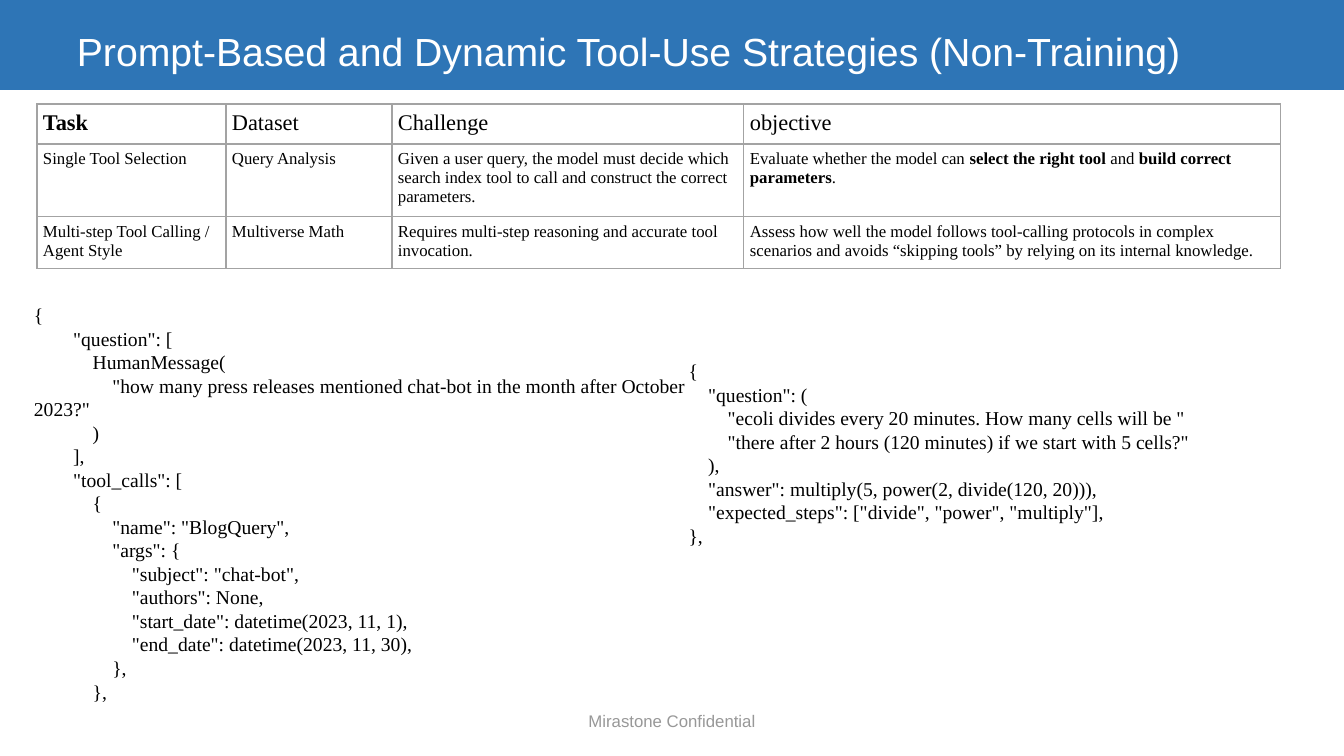
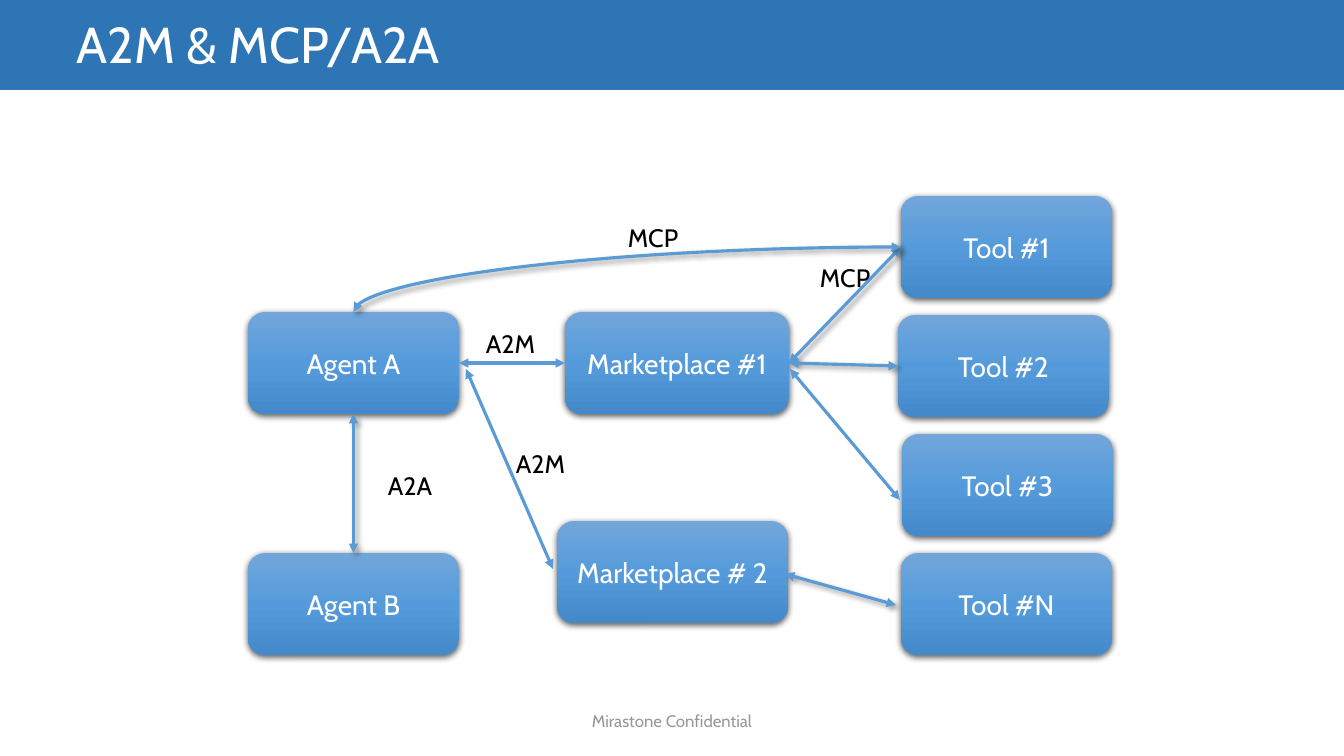
from copy import deepcopy
from dataclasses import dataclass

from lxml.etree import SubElement as Sub
from pptx import Presentation
from pptx.dml.color import RGBColor as Rgb
from pptx.enum.shapes import MSO_CONNECTOR as Wire, MSO_SHAPE as Shape
from pptx.enum.text import MSO_ANCHOR as Anchor, PP_ALIGN as Align
from pptx.oxml.ns import qn
from pptx.util import Emu, Pt

TOP, LEFT, BOTTOM, RIGHT = range(4)  # connection sites of a box


@dataclass(frozen=True)
class Theme:
    band: str = "2E75B6"
    white: str = "FFFFFF"
    ink: str = "000000"
    grey: str = "989898"
    rule: str = "A3A3A3"
    wire: str = "5B9BD5"
    fade: tuple = ((0, "71A6DB"), (0.5, "559BDB"), (1, "448ACA"))
    serif: str = "Times New Roman"
    foot: int = 12
    head: int = 16
    cell: int = 12
    code: int = 14
    label: int = 18
    node: int = 20


def px(n):
    return Emu(round(n * 914400 / 100.8))


def shade(props, alpha, blur, dist, angle):
    """Add an outer shadow; alpha in percent, blur and dist in points."""
    effects = props.find(qn("a:effectLst"))
    glow = Sub(effects, qn("a:outerShdw"), blurRad=str(Pt(blur)),
               dist=str(Pt(dist)), dir=str(angle * 60000), rotWithShape="0")
    color = Sub(glow, qn("a:srgbClr"), val=Theme.ink)
    Sub(color, qn("a:alpha"), val=str(alpha * 1000))


class Deck:
    def __init__(self, theme):
        self.theme = theme
        self.file = Presentation()
        self.file.slide_width, self.file.slide_height = px(1344), px(756)

    def page(self, title, size, font):
        """Start a slide with its band, title and footer."""
        look = self.theme
        self.font = font
        self.slide = self.file.slides.add_slide(self.file.slide_layouts[6])
        self.shapes = self.slide.shapes
        band = self.shapes.add_shape(Shape.RECTANGLE, 0, 0, px(1344), px(90))
        band.shadow.inherit = False
        band.fill.solid()
        band.fill.fore_color.rgb = Rgb.from_string(look.band)
        band.line.fill.background()
        self.text((67, 0, 1186, 79), title, size, look.white,
                  anchor=Anchor.BOTTOM)
        self.text((512, 701, 320, 40), "Mirastone Confidential", look.foot,
                  look.grey, Align.CENTER, Anchor.MIDDLE)

    def style(self, para, size, color, font=None, align=Align.LEFT):
        para.alignment = align
        para.font.name = font or self.font
        para.font.size = Pt(size)
        para.font.color.rgb = Rgb.from_string(color)

    def text(self, box, words, size, color, align=Align.LEFT,
             anchor=Anchor.TOP, wrap=True):
        frame = self.shapes.add_textbox(*map(px, box)).text_frame
        frame.word_wrap = wrap
        frame.vertical_anchor = anchor
        frame.text = words
        self.style(frame.paragraphs[0], size, color, align=align)

    def label(self, left, top, words):
        self.text((left, top, 74, 40), words, self.theme.label,
                  self.theme.ink, wrap=False)

    def code(self, box, source):
        """Show code; each four leading spaces become one em of indent."""
        look = self.theme
        frame = self.shapes.add_textbox(*map(px, box)).text_frame
        frame.word_wrap = True
        lines = source.strip("\n").split("\n")
        frame.text = "\n".join(line.strip() for line in lines)
        for para, line in zip(frame.paragraphs, lines):
            depth = (len(line) - len(line.lstrip())) // 4
            self.style(para, look.code, look.ink, look.serif)
            para._p.get_or_add_pPr().set("indent", str(Pt(look.code) * depth))

    def table(self, left, top, widths, heights, rows):
        grid = self.shapes.add_table(
            len(rows), len(widths), px(left), px(top),
            px(sum(widths)), px(sum(heights))).table
        grid.first_row = grid.horz_banding = False
        for col, width in zip(grid.columns, widths):
            col.width = px(width)
        for row, height, words in zip(grid.rows, heights, rows):
            row.height = px(height)
            size = self.theme.head if words is rows[0] else self.theme.cell
            for cell, part in zip(row.cells, words):
                self.cell(cell, part, size)

    def cell(self, cell, words, size):
        """Fill one cell; text between ** marks is bold."""
        look = self.theme
        cell.margin_left = cell.margin_right = px(6)
        cell.margin_top = cell.margin_bottom = px(6)
        for side in "LRTB":
            edge = Sub(cell._tc.get_or_add_tcPr(), qn(f"a:ln{side}"),
                       w=str(Pt(1)))
            fill = Sub(edge, qn("a:solidFill"))
            Sub(fill, qn("a:srgbClr"), val=look.rule)
        cell.fill.background()
        para = cell.text_frame.paragraphs[0]
        self.style(para, size, look.ink, look.serif)
        for i, part in enumerate(words.split("**")):
            if part:
                run = para.add_run()
                run.text = part
                run.font.bold = i % 2 == 1

    def node(self, left, top, words, width=211):
        look = self.theme
        box = self.shapes.add_shape(Shape.ROUNDED_RECTANGLE,
                                    *map(px, (left, top, width, 102)))
        box.fill.gradient()
        box.fill.gradient_angle = 270
        stops = box._element.spPr.find(".//" + qn("a:gsLst"))
        stops.insert(1, deepcopy(stops[0]))
        for stop, (place, color) in zip(box.fill.gradient_stops, look.fade):
            stop.position = place
            stop.color.rgb = Rgb.from_string(color)
        box.line.fill.background()
        box.shadow.inherit = False
        shade(box._element.spPr, 63, 4.5, 1.5, 90)
        frame = box.text_frame
        frame.text = words
        frame.vertical_anchor = Anchor.MIDDLE
        self.style(frame.paragraphs[0], look.node, look.white,
                   align=Align.CENTER)
        return box

    def arrow(self, ends=(0, 0, 0, 0), kind=Wire.STRAIGHT, shadow=True):
        """Draw a two-headed arrow."""
        wire = self.shapes.add_connector(kind, *map(px, ends))
        wire.line.color.rgb = Rgb.from_string(self.theme.wire)
        wire.line.width = Pt(2.25)
        props = wire._element.spPr
        for tip in ("a:headEnd", "a:tailEnd"):
            Sub(props.find(qn("a:ln")), qn(tip), type="triangle")
        Sub(props, qn("a:effectLst"))
        if shadow:
            shade(props, 40, 4, 3, 45)
        return wire

    def link(self, start, out, end, into, **look):
        """Join two boxes at the given connection sites."""
        wire = self.arrow(**look)
        wire.begin_connect(start, out)
        wire.end_connect(end, into)
        return wire


QUERY = """
{
        "question": [
            HumanMessage(
                "how many press releases mentioned chat-bot in the month after October 2023?"
            )
        ],
        "tool_calls": [
            {
                "name": "BlogQuery",
                "args": {
                    "subject": "chat-bot",
                    "authors": None,
                    "start_date": datetime(2023, 11, 1),
                    "end_date": datetime(2023, 11, 30),
                },
            },
"""

MATH = """
    {
        "question": (
            "ecoli divides every 20 minutes. How many cells will be "
            "there after 2 hours (120 minutes) if we start with 5 cells?"
        ),
        "answer": multiply(5, power(2, divide(120, 20))),
        "expected_steps": ["divide", "power", "multiply"],
    },
"""

TASKS = (
    ("**Task**", "Dataset", "Challenge", "objective"),
    ("Single Tool Selection", "Query Analysis",
     "Given a user query, the model must decide which search index tool "
     "to call and construct the correct parameters.",
     "Evaluate whether the model can **select the right tool** and "
     "**build correct parameters**."),
    ("Multi-step Tool Calling / Agent Style", "Multiverse Math",
     "Requires multi-step reasoning and accurate tool invocation.",
     "Assess how well the model follows tool-calling protocols in complex "
     "scenarios and avoids “skipping tools” by relying on its internal "
     "knowledge."),
)


def tasks(deck):
    deck.page("Prompt-Based and Dynamic Tool-Use Strategies (Non-Training)",
              28, "Arial")
    deck.table(37, 104, (189, 166, 352, 537), (40, 67, 48), TASKS)
    deck.code((24, 298, 672, 437), QUERY)
    deck.code((659, 354, 672, 295), MATH)


def market(deck):
    deck.page("A2M & MCP/A2A", 36, "Cabin")
    agent = deck.node(248, 312, "Agent A")
    peer = deck.node(248, 553, "Agent B")
    shop = deck.node(565, 312, "Marketplace #1", 224)
    deck.node(557, 521, "Marketplace # 2", 231)
    tools = [deck.node(left, 196 + 119 * i, f"Tool #{mark}")
             for i, (left, mark) in enumerate(
                 zip((901, 898, 902, 901), "123N"))]

    deck.link(agent, RIGHT, shop, LEFT, shadow=False)
    deck.link(agent, BOTTOM, peer, TOP)
    for tool in tools[:2]:
        deck.link(shop, RIGHT, tool, LEFT)
    curve = deck.link(tools[0], LEFT, agent, TOP, kind=Wire.CURVE)
    curve._element.spPr.find(qn("a:prstGeom")).set("prst", "curvedConnector2")
    deck.arrow((785, 574, 896, 605))
    deck.arrow((790, 369, 900, 500), shadow=False)
    deck.arrow((466, 369, 553, 569), shadow=False)

    for left, top, words in ((476, 323, "A2M"), (378, 465, "A2A"),
                             (810, 257, "MCP"), (618, 217, "MCP"),
                             (506, 443, "A2M")):
        deck.label(left, top, words)


def main():
    deck = Deck(Theme())
    tasks(deck)
    market(deck)
    deck.file.save("out.pptx")


if __name__ == "__main__":
    main()
